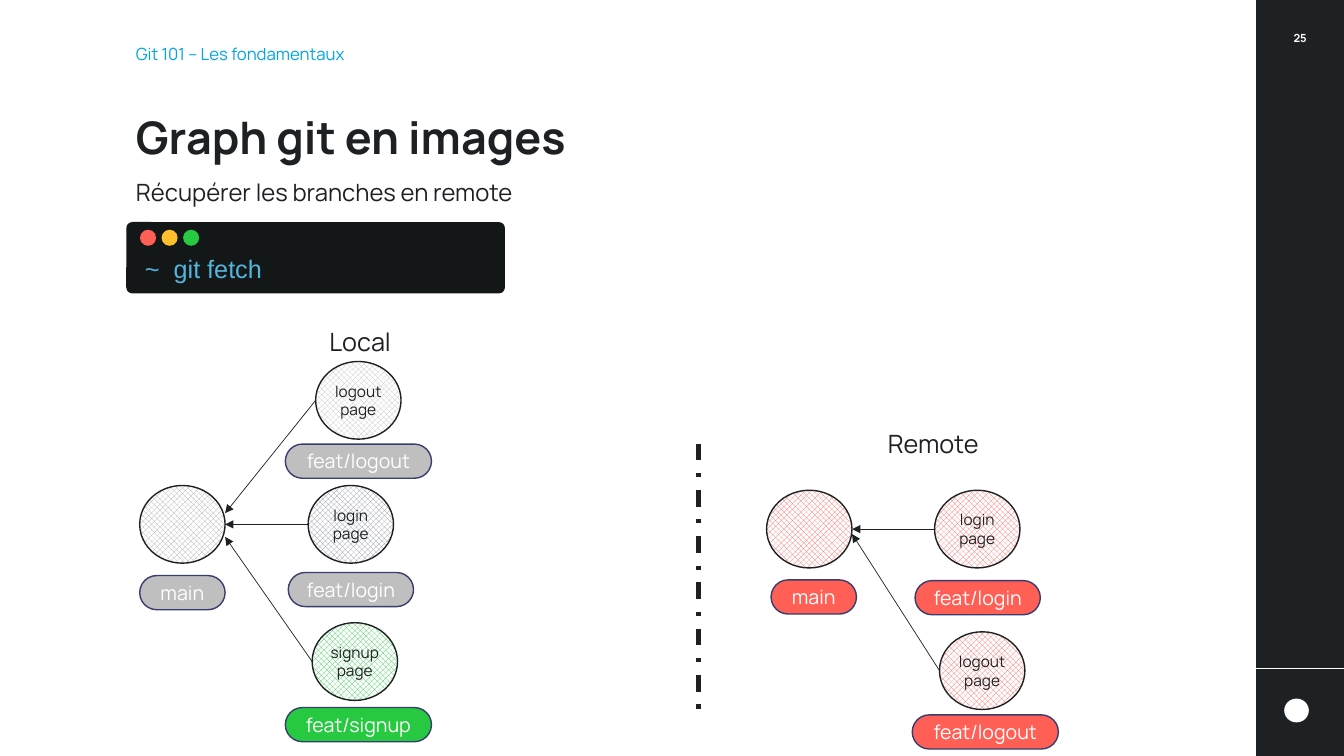
from lxml import etree
from pptx import Presentation
from pptx.dml.color import RGBColor
from pptx.enum.dml import MSO_LINE, MSO_PATTERN
from pptx.enum.shapes import MSO_CONNECTOR, MSO_SHAPE
from pptx.enum.text import MSO_ANCHOR, PP_ALIGN
from pptx.oxml.ns import qn
from pptx.util import Pt

RECT, OVAL, ROUND = MSO_SHAPE.RECTANGLE, MSO_SHAPE.OVAL, MSO_SHAPE.ROUNDED_RECTANGLE
STRAIGHT = MSO_CONNECTOR.STRAIGHT
TOP, MID, LOW = MSO_ANCHOR.TOP, MSO_ANCHOR.MIDDLE, MSO_ANCHOR.BOTTOM
LEFT, CENTER = PP_ALIGN.LEFT, PP_ALIGN.CENTER
MESH, DASHDOT = MSO_PATTERN.OUTLINED_DIAMOND, MSO_LINE.DASH_DOT

hue = RGBColor.from_string
INK, WHITE, NAVY = "1E2124", "FFFFFF", "373E6F"
GRAY, RED, AMBER, GREEN = "BFBFBF", "FF5F55", "FFBE2D", "26C93F"

deck = Presentation()
deck.slide_width, deck.slide_height = Pt(960), Pt(540)
slide = deck.slides.add_slide(deck.slide_layouts[6])
shapes = slide.shapes


def write(frame, text, size, color, face="Manrope", bold=False,
          align=LEFT, anchor=TOP, wrap=True, space=1.0):
    frame.word_wrap = wrap
    frame.vertical_anchor = anchor
    for i, line in enumerate(text.split("\n")):
        para = frame.paragraphs[0] if i == 0 else frame.add_paragraph()
        para.alignment = align
        para.line_spacing = space
        run = para.add_run()
        run.text = line
        run.font.name, run.font.size, run.font.bold = face, Pt(size), bold
        run.font.color.rgb = hue(color)


def draw(kind, x, y, w, h, color, edge=None):
    shape = shapes.add_shape(kind, Pt(x), Pt(y), Pt(w), Pt(h))
    shape.shadow.inherit = False
    shape.fill.solid()
    shape.fill.fore_color.rgb = hue(color)
    if edge:
        shape.line.color.rgb = hue(edge)
        shape.line.width = Pt(1)
    else:
        shape.line.fill.background()
    return shape


# Side band with a plain dot
draw(RECT, 897.3, 0, 62.7, 540, INK)
draw(OVAL, 917.3, 499, 17.6, 17, WHITE)

# Terminal window
card = draw(ROUND, 90.2, 158.6, 270.5, 51, "141718")
card.adjustments[0] = 0.086
for i, color in enumerate((RED, AMBER, GREEN)):
    draw(OVAL, 100 + 15.4 * i, 164.1, 11.5, 11.5, color)

# Headings and loose text
labels = [
    (90, 77.8, 777.6, 43.2, "Graph git en images", 32, INK,
     {"bold": True, "anchor": LOW, "space": 0.9}),
    (90, 28.1, 777.6, 20.9, "Git 101 – Les fondamentaux", 12, "00A5E5",
     {"anchor": LOW, "space": 1.2}),
    (90, 126, 777.6, 26.6, "Récupérer les branches en remote", 17, INK, {"space": 0.9}),
    (912.2, 13, 33.1, 28.8, "25", 8, WHITE,
     {"bold": True, "align": CENTER, "anchor": MID}),
    (96.5, 177.1, 264.2, 29, "~  git fetch", 18, "54B5DB", {"face": "Arial"}),
    (228.2, 229.7, 61.2, 29, "Local", 18, INK, {"wrap": False}),
    (627.1, 302.4, 84.2, 29, "Remote", 18, INK, {"wrap": False}),
]
for x, y, w, h, text, size, color, style in labels:
    box = shapes.add_textbox(Pt(x), Pt(y), Pt(w), Pt(h))
    write(box.text_frame, text, size, color, **style)

# Commits: left, top, text, mesh colour
NODE_W, NODE_H = 61, 55.5
nodes = [
    (99.8, 346.8, "", "A6A6A6"),
    (225.5, 258.2, "logout\npage", GRAY),
    (220.1, 346.8, "login page", "86909A"),
    (223, 444.8, "signup page", GREEN),
    (547.6, 350.2, "", RED),
    (667.6, 350.2, "login page", RED),
    (671.1, 451.3, "logout\npage", RED),
]
for x, y, text, color in nodes:
    node = draw(OVAL, x, y, NODE_W, NODE_H, WHITE, INK)
    node.fill.patterned()
    node.fill.pattern = MESH
    node.fill.fore_color.rgb = hue(color)
    node.fill.back_color.rgb = hue(WHITE)
    if text:
        frame = node.text_frame
        frame.margin_left = frame.margin_right = 0
        frame.margin_top = frame.margin_bottom = 0
        write(frame, text, 11, INK, align=CENTER, anchor=MID)

# Branch tags: left, top, width, text, colour
tags = [
    (99.8, 411.1, 61, "main", GRAY),
    (203.8, 317.2, 104.4, "feat/logout", GRAY),
    (205.9, 408.9, 89.5, "feat/login", GRAY),
    (203.8, 505.4, 104.4, "feat/signup", GREEN),
    (550.8, 414.2, 61, "main", RED),
    (653.6, 414.7, 89.5, "feat/login", RED),
    (651.6, 510.6, 104.4, "feat/logout", RED),
]
for x, y, w, text, color in tags:
    tag = draw(ROUND, x, y, w, 24.4, color, NAVY)
    tag.adjustments[0] = 0.5
    write(tag.text_frame, text, 14, WHITE, align=CENTER, anchor=MID, wrap=False)

# Lines: start, end, colour, width, arrow, dash
lines = [
    (897.3, 477.4, 960, 477.4, WHITE, 0.62, False, None),
    (499, 316.8, 499, 506.9, INK, 3, False, DASHDOT),
]
# Each child commit points at its parent, at a height offset from its middle
for child, root, lift in ((1, 0, -8), (2, 0, 0), (3, 0, 9), (5, 4, 0), (6, 4, 3.5)):
    x, y = nodes[child][:2]
    left, top = nodes[root][:2]
    lines.append((x, y + NODE_H / 2, left + NODE_W, top + NODE_H / 2 + lift,
                  INK, 0.5, True, None))
for x1, y1, x2, y2, color, width, arrow, dash in lines:
    link = shapes.add_connector(STRAIGHT, Pt(x1), Pt(y1), Pt(x2), Pt(y2))
    link.line.color.rgb = hue(color)
    link.line.width = Pt(width)
    if dash:
        link.line.dash_style = dash
    props = link._element.spPr
    if arrow:
        etree.SubElement(props.find(qn("a:ln")), qn("a:tailEnd"), type="triangle")
    etree.SubElement(props, qn("a:effectLst"))

deck.save("out.pptx")
